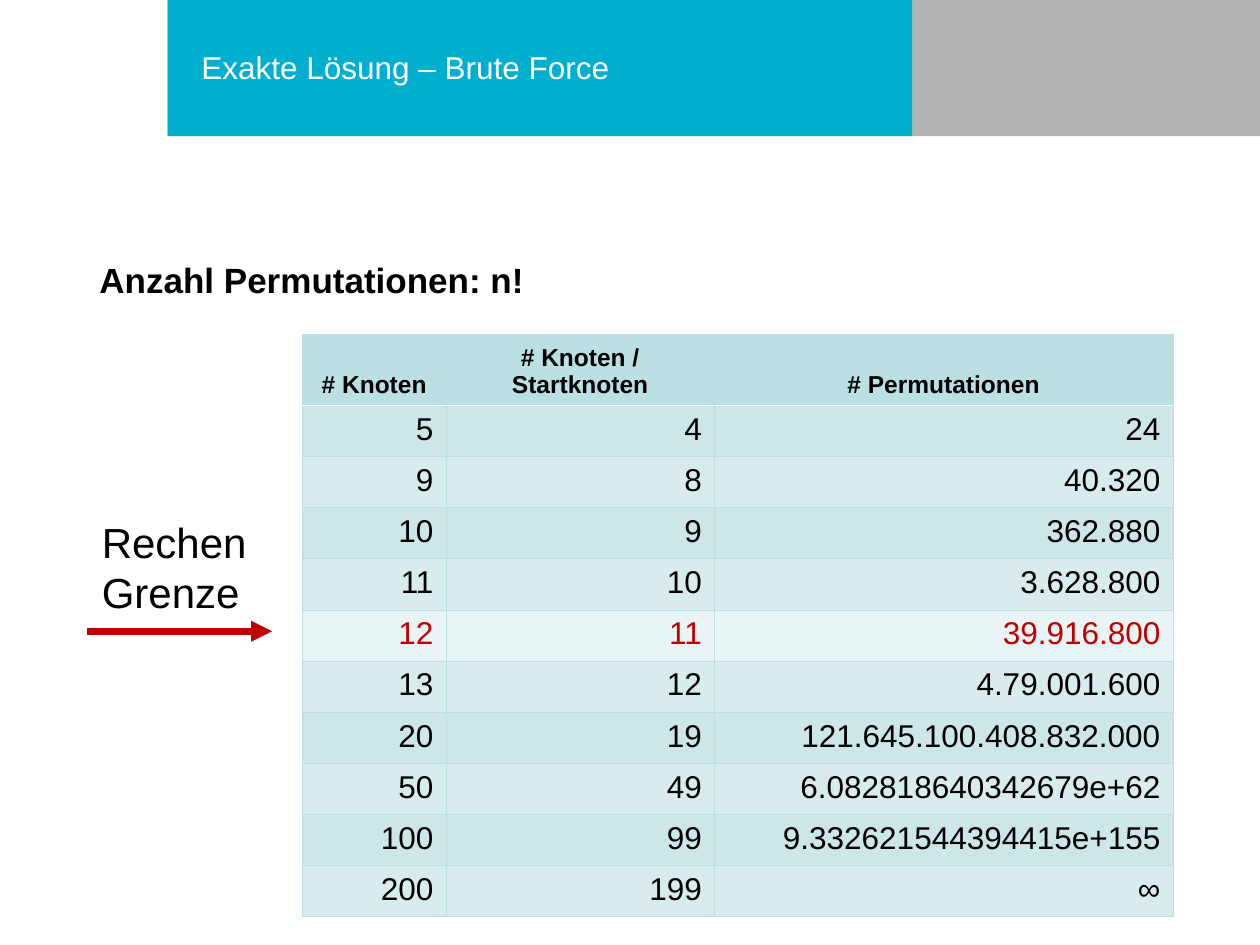
from pptx import Presentation
from pptx.dml.color import RGBColor
from pptx.enum.shapes import MSO_CONNECTOR as Link, MSO_SHAPE as Kind
from pptx.enum.text import MSO_ANCHOR as Anchor, PP_ALIGN as Align
from pptx.oxml.ns import qn
from pptx.util import Inches, Pt
from lxml.etree import SubElement as sub

WHITE = RGBColor(0xFF, 0xFF, 0xFF)
BLACK = RGBColor(0, 0, 0)
GREY = RGBColor(0xB3, 0xB3, 0xB3)
CYAN = RGBColor(0x00, 0xAE, 0xCF)
RED = RGBColor(0xC0, 0, 0)
TEAL = RGBColor(0xBB, 0xE0, 0xE3)
DARK = RGBColor(0xCD, 0xE7, 0xE9)
LIGHT = RGBColor(0xD9, 0xEC, 0xED)
PALE = RGBColor(0xE8, 0xF4, 0xF5)

HEADS = ["# Knoten", "# Knoten / Startknoten", "# Permutationen"]
ROWS = [
    ("5", "4", "24"),
    ("9", "8", "40.320"),
    ("10", "9", "362.880"),
    ("11", "10", "3.628.800"),
    ("12", "11", "39.916.800"),
    ("13", "12", "4.79.001.600"),
    ("20", "19", "121.645.100.408.832.000"),
    ("50", "49", "6.082818640342679e+62"),
    ("100", "99", "9.332621544394415e+155"),
    ("200", "199", "∞"),
]
LIMIT = "12"
COLS = [1.14, 2.13, 3.64]


def add_run(para, text, size, color=BLACK, bold=False):
    """Add one styled run to a paragraph."""
    run = para.add_run()
    run.text = text
    font = run.font
    font.name, font.size, font.bold = "Arial", Pt(size), bold
    font.color.rgb = color


def add_text(slide, box, text, size, color=BLACK, bold=False):
    """Place a wrapped text box."""
    frame = slide.shapes.add_textbox(*map(Inches, box)).text_frame
    frame.word_wrap = True
    add_run(frame.paragraphs[0], text, size, color, bold)


def add_bar(slide, box, color):
    """Place a plain filled rectangle."""
    bar = slide.shapes.add_shape(Kind.RECTANGLE, *map(Inches, box))
    bar.shadow.inherit = False
    bar.fill.solid()
    bar.fill.fore_color.rgb = color
    bar.line.fill.background()


def add_banner(slide, box, title):
    """Draw the two-tone banner and its title."""
    left, top, width, height = box
    add_bar(slide, box, GREY)
    add_bar(slide, (left, top, 5.91, height), CYAN)
    add_text(slide, (left + 0.17, top + 0.33, 5.75, 0.75), title, 18, WHITE)


def set_edge(cell, side, color, width):
    """Draw one border of a cell, or hide it when the width is zero."""
    line = sub(cell._tc.get_or_add_tcPr(), qn("a:ln" + side), w=str(Pt(width)))
    if width:
        fill = sub(line, qn("a:solidFill"))
        sub(fill, qn("a:srgbClr"), val=str(color))
    else:
        sub(line, qn("a:noFill"))


def set_cell(cell, text, fill, edges, size, color, bold, align, anchor):
    """Fill, frame and label one table cell."""
    for side, (tint, width) in edges.items():
        set_edge(cell, side, tint, width)
    cell.fill.solid()
    cell.fill.fore_color.rgb = fill
    cell.vertical_anchor = anchor
    para = cell.text_frame.paragraphs[0]
    para.alignment = align
    add_run(para, text, size, color, bold)


def add_grid(slide, box):
    """Build the table of permutation counts."""
    height, head = box[3], 0.51
    frame = slide.shapes.add_table(len(ROWS) + 1, len(COLS), *map(Inches, box))
    table = frame.table
    for col, width in zip(table.columns, COLS):
        col.width = Inches(width)
    for row in table.rows:
        row.height = Inches((height - head) / len(ROWS))
    table.rows[0].height = Inches(head)

    thin, thick, none = (TEAL, 0.5), (WHITE, 1), (TEAL, 0)
    last = len(COLS) - 1
    for c, text in enumerate(HEADS):
        edges = {"L": none if c else thin, "R": thin if c == last else none,
                 "T": thin, "B": thick}
        set_cell(table.cell(0, c), text, TEAL, edges, 14, BLACK, True,
                 Align.CENTER, Anchor.BOTTOM)
    for r, row in enumerate(ROWS, 1):
        hit = row[0] == LIMIT
        fill = PALE if hit else DARK if r % 2 else LIGHT
        edges = {"L": thin, "R": thin, "T": thick if r == 1 else thin, "B": thin}
        for c, text in enumerate(row):
            set_cell(table.cell(r, c), text, fill, edges, 18,
                     RED if hit else BLACK, False, Align.RIGHT, Anchor.TOP)


def add_limit(slide, box):
    """Place the limit label above its arrow."""
    left, top, width, height = box
    y = Inches(top + height + 0.05)
    arrow = slide.shapes.add_connector(
        Link.STRAIGHT, Inches(left - 0.02), y, Inches(left + 1.45), y)
    arrow.line.color.rgb = RED
    arrow.line.width = Pt(4)
    sub(arrow.line._get_or_add_ln(), qn("a:tailEnd"), type="triangle")
    sub(arrow._element.spPr, qn("a:effectLst"))
    add_text(slide, box, "Rechen Grenze", 24)


def main():
    """Build and save the slide."""
    deck = Presentation()
    deck.slide_width, deck.slide_height = Inches(10), Inches(7.5)
    slide = deck.slides.add_slide(deck.slide_layouts[6])
    add_banner(slide, (1.33, 0, 8.67, 1.08), "Exakte Lösung – Brute Force")
    add_text(slide, (0.69, 2, 8.62, 0.5), "Anzahl Permutationen: n!", 20, bold=True)
    add_grid(slide, (2.4, 2.65, sum(COLS), 4.57))
    add_limit(slide, (0.71, 4.05, 1.57, 0.91))
    deck.save("out.pptx")


if __name__ == "__main__":
    main()
